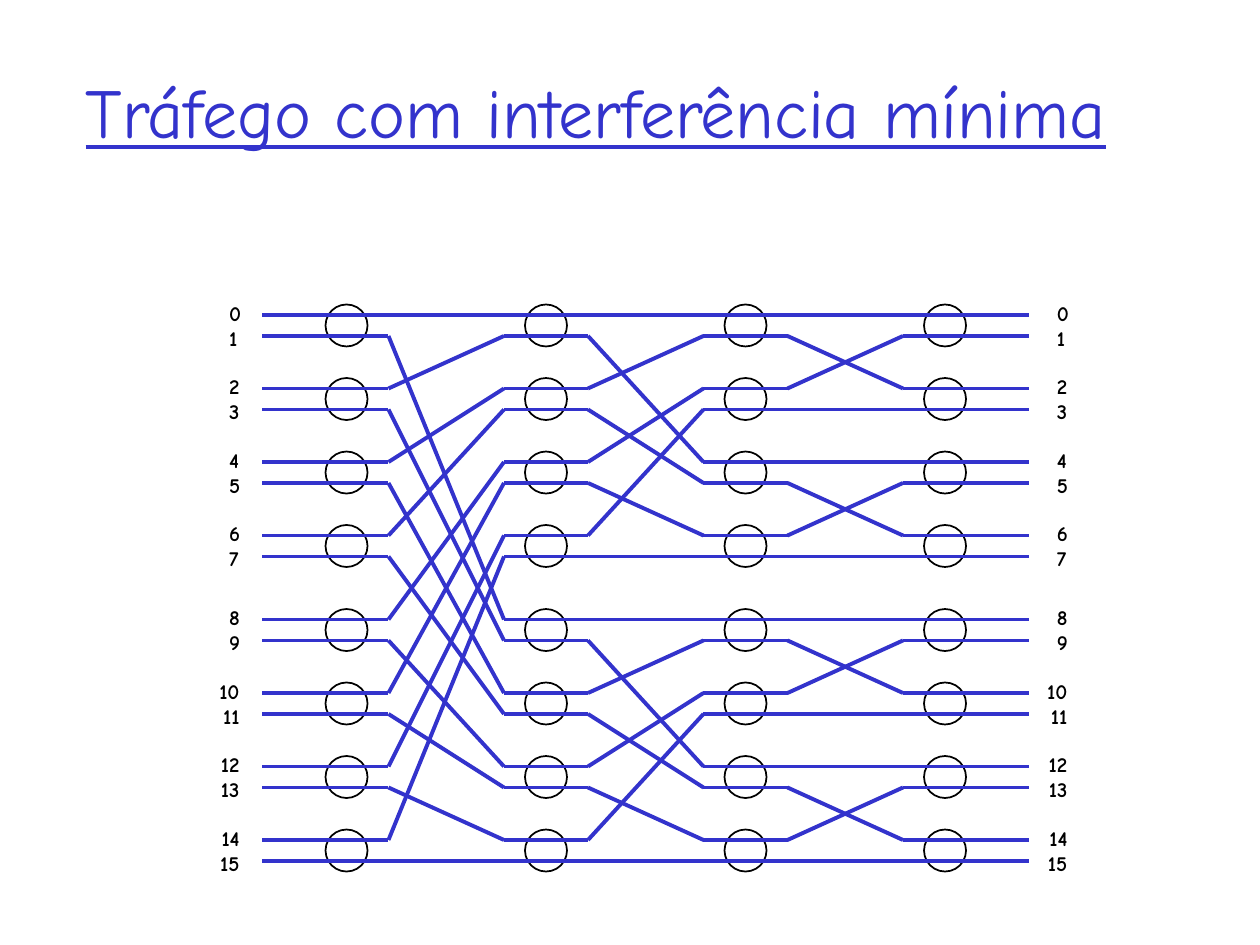
from dataclasses import dataclass

from pptx import Presentation, util as u
from pptx.dml.color import RGBColor
from pptx.enum import shapes, text
from pptx.oxml.xmlchemy import OxmlElement


@dataclass(frozen=True)
class Theme:
    font: str = "Comic Neue"
    accent: RGBColor = RGBColor(0x33, 0x33, 0xCC)
    ink: RGBColor = RGBColor(0, 0, 0)
    paper: RGBColor = RGBColor(255, 255, 255)
    title_size: int = 40
    label_size: int = 12
    wire_width: float = 2.25
    outline_width: float = 1


THEME = Theme()

# Content: a 16-port network whose stages unshuffle ever smaller blocks
TITLE = "Tráfego com interferência mínima"
PORTS = 16
BLOCK_SIZES = (16, 8, 4)

# Grid, in twelfths of an inch
FIRST_COLUMN, COLUMN_STEP = 31, 19
FIRST_ROW, ROW_STEP, HALF_GAP = 29, 7, 1
SWITCH_SIZE = 4
WIRE_START, WIRE_END = 25, 98
BEND_AFTER, BEND_BEFORE = 6, 2
LABEL_RIGHT_EDGES = (2, 8.57)  # inches
LABEL_WIDTHS = {1: 0.28, 2: 0.37}  # inches, by number of digits


def grid(units):
    return u.Inches(units / 12)


def column_x(column):
    return FIRST_COLUMN + column * COLUMN_STEP


def row_y(row):
    return FIRST_ROW + row * ROW_STEP + (HALF_GAP if row >= PORTS // 4 else 0)


def port_y(port):
    return row_y(port // 2) + (3 if port % 2 else 1)


def unshuffle(port, size):
    start, offset = port - port % size, port % size
    return start + offset // 2 + (size // 2 if offset % 2 else 0)


def style_run(run, size, color):
    run.font.name, run.font.size = THEME.font, u.Pt(size)
    run.font.color.rgb = color


def draw_wire(slide, x1, port1, x2, port2):
    wire = slide.shapes.add_connector(
        shapes.MSO_CONNECTOR.STRAIGHT,
        grid(x1), grid(port_y(port1)), grid(x2), grid(port_y(port2)))
    wire.line.color.rgb = THEME.accent
    wire.line.width = u.Pt(THEME.wire_width)
    wire._element.spPr.append(OxmlElement("a:effectLst"))


def draw_route(slide, port):
    flat_start = WIRE_START
    for stage, size in enumerate(BLOCK_SIZES):
        target = unshuffle(port, size)
        if target == port:
            continue
        bend_start = column_x(stage) + BEND_AFTER
        bend_end = column_x(stage + 1) - BEND_BEFORE
        draw_wire(slide, flat_start, port, bend_start, port)
        draw_wire(slide, bend_start, port, bend_end, target)
        port, flat_start = target, bend_end
    draw_wire(slide, flat_start, port, WIRE_END, port)


def draw_switch(slide, column, row):
    switch = slide.shapes.add_shape(
        shapes.MSO_SHAPE.OVAL, grid(column_x(column)), grid(row_y(row)),
        grid(SWITCH_SIZE), grid(SWITCH_SIZE))
    switch.shadow.inherit = False
    switch.fill.solid()
    switch.fill.fore_color.rgb = THEME.paper
    switch.line.color.rgb = THEME.ink
    switch.line.width = u.Pt(THEME.outline_width)


def draw_labels(slide, right_edge):
    group = slide.shapes.add_group_shape()
    for row in range(PORTS // 2):
        digits = len(str(2 * row))
        width = LABEL_WIDTHS[digits]
        label = group.shapes.add_textbox(
            u.Inches(right_edge - width), grid(row_y(row) - 1),
            u.Inches(width), u.Inches(0.5))
        frame = label.text_frame
        frame.word_wrap = False
        frame.auto_size = text.MSO_AUTO_SIZE.SHAPE_TO_FIT_TEXT
        frame.text = f"{2 * row}\n{2 * row + 1}"
        for paragraph in frame.paragraphs:
            if digits == 2:
                paragraph.alignment = text.PP_ALIGN.RIGHT
            style_run(paragraph.runs[0], THEME.label_size, THEME.ink)
            paragraph.runs[0].font.bold = True


def main():
    deck = Presentation()
    deck.slide_width, deck.slide_height = u.Inches(10), u.Inches(7.5)
    slide = deck.slides.add_slide(deck.slide_layouts[5])

    # Title
    title = slide.shapes.title
    title.left, title.top = u.Inches(0.58), u.Inches(0.25)
    title.width, title.height = u.Inches(8.5), u.Inches(1.25)
    title.text_frame.text = TITLE
    title.text_frame.auto_size = text.MSO_AUTO_SIZE.NONE
    title.text_frame.vertical_anchor = text.MSO_ANCHOR.MIDDLE
    heading = title.text_frame.paragraphs[0]
    heading.alignment = text.PP_ALIGN.LEFT
    style_run(heading.runs[0], THEME.title_size, THEME.accent)
    heading.runs[0].font.underline = True

    # Switches
    for column in range(len(BLOCK_SIZES) + 1):
        for row in range(PORTS // 2):
            draw_switch(slide, column, row)

    # Wires
    for port in range(PORTS):
        draw_route(slide, port)

    # Port numbers
    for right_edge in LABEL_RIGHT_EDGES:
        draw_labels(slide, right_edge)

    deck.save("out.pptx")


if __name__ == "__main__":
    main()
